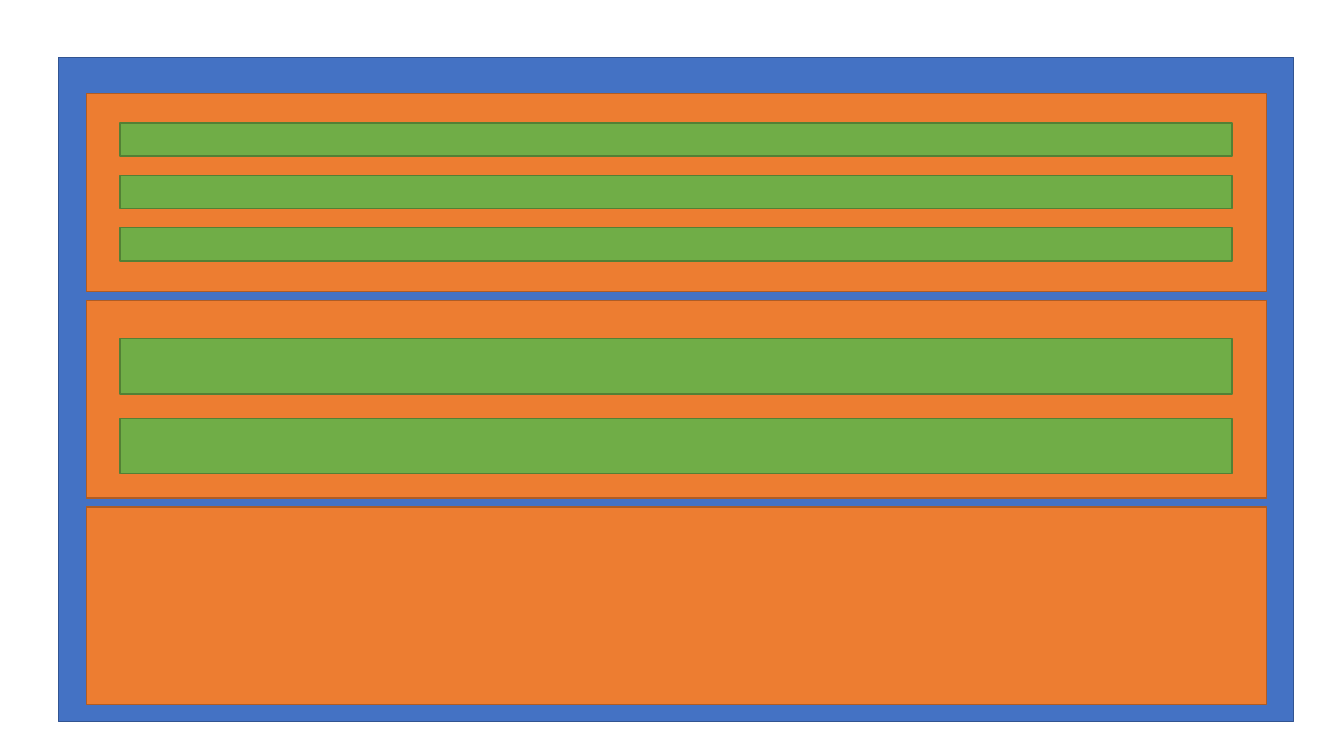
from dataclasses import dataclass

from pptx import Presentation, util as u
from pptx.dml.color import RGBColor
from pptx.enum import shapes

PX = 9144  # EMU per px, 100 px to the inch


@dataclass(frozen=True)
class Theme:
    """Fill and line colour of each nesting level."""
    frame: tuple = ("4472C4", "325491")
    panel: tuple = ("ED7D31", "AF5C24")
    bar: tuple = ("70AD47", "538035")
    line: int = 1


THEME = Theme()


def add_box(slide, left, top, width, height, tones):
    area = [n * PX for n in (left, top, width, height)]
    box = slide.shapes.add_shape(shapes.MSO_SHAPE.RECTANGLE, *area)
    box.shadow.inherit = False
    box.fill.solid()
    fill, line = (RGBColor.from_string(tone) for tone in tones)
    box.fill.fore_color.rgb = fill
    style = {"width": u.Pt(THEME.line)}
    for name, value in style.items():
        setattr(box.line, name, value)
    box.line.color.rgb = line


def add_stack(slide, count, left, top, width, height, step, tones):
    """Draw equal boxes below each other, one every step px."""
    for row in range(count):
        add_box(slide, left, top + row * step, width, height, tones)


def main():
    deck = Presentation()
    deck.slide_width, deck.slide_height = 1333 * PX, 750 * PX
    slide = deck.slides.add_slide(deck.slide_layouts[6])

    add_box(slide, 58, 57, 1225, 659, THEME.frame)
    add_stack(slide, 3, 86, 93, 1170, 196, 205, THEME.panel)
    add_stack(slide, 3, 119, 122, 1103, 33, 52, THEME.bar)
    add_stack(slide, 2, 119, 336, 1103, 55, 79, THEME.bar)

    deck.save("out.pptx")


if __name__ == "__main__":
    main()
